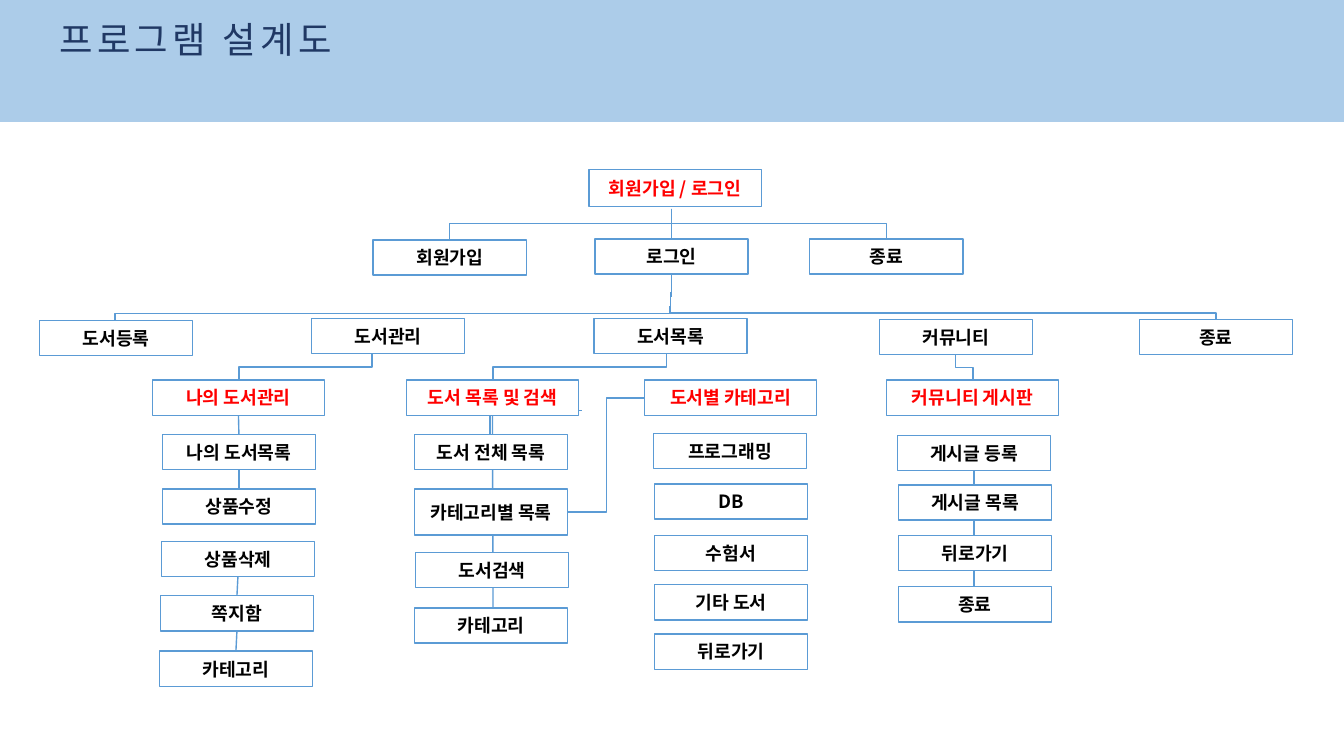
from lxml import etree
from pptx import Presentation
from pptx.dml.color import RGBColor
from pptx.enum.shapes import MSO_CONNECTOR, MSO_SHAPE
from pptx.enum.text import MSO_ANCHOR, PP_ALIGN
from pptx.oxml.ns import qn
from pptx.util import Pt

PX = 9144
FONT = "Noto Sans CJK KR"
BLUE = RGBColor(0x5B, 0x9B, 0xD5)
NAVY = RGBColor(0x20, 0x38, 0x64)
RED = RGBColor(0xFF, 0, 0)
BLACK = RGBColor(0, 0, 0)
WHITE = RGBColor(0xFF, 0xFF, 0xFF)
RECT = MSO_SHAPE.RECTANGLE
STRAIGHT, ELBOW = MSO_CONNECTOR.STRAIGHT, MSO_CONNECTOR.ELBOW
CENTER, LEFT = PP_ALIGN.CENTER, PP_ALIGN.LEFT
MIDDLE, TOP_ANCHOR = MSO_ANCHOR.MIDDLE, MSO_ANCHOR.TOP
TOP, BOTTOM = 0, 2
BOX_W, HEAD_W, BOX_H = 152, 171, 35


class Chart:
    def __init__(self, slide):
        self.shapes = slide.shapes

    def rect(self, x, y, w, h, fill):
        sp = self.shapes.add_shape(RECT, x * PX, y * PX, w * PX, h * PX)
        sp.shadow.inherit = False
        sp.fill.solid()
        sp.fill.fore_color.rgb = fill
        return sp

    def label(self, sp, text, size, color, align, anchor, bold=False):
        tf = sp.text_frame
        tf.text = text
        tf.vertical_anchor = anchor
        p = tf.paragraphs[0]
        p.alignment = align
        r = p.runs[0]
        r.font.size = Pt(size)
        r.font.bold = bold
        r.font.color.rgb = color
        r.font.name = FONT
        rpr = r.font._element
        etree.SubElement(rpr, qn("a:ea"), typeface=FONT)
        return rpr

    def box(self, x, y, text, w=BOX_W, h=BOX_H, color=BLACK):
        sp = self.rect(x, y, w, h, WHITE)
        sp.line.color.rgb = BLUE
        sp.line.width = Pt(1)
        self.label(sp, text, 13, color, CENTER, MIDDLE, True)
        return sp

    def heading(self, x, y, text, h=BOX_H):
        return self.box(x, y, text, HEAD_W, h, RED)

    def column(self, items):
        return [self.box(*item) for item in items]

    def line(self, x1, y1, x2, y2, kind=STRAIGHT):
        ends = [round(v * PX) for v in (x1, y1, x2, y2)]
        c = self.shapes.add_connector(kind, *ends)
        c.line.color.rgb = BLUE
        c.line.width = Pt(1)
        etree.SubElement(c._element.spPr, qn("a:effectLst"))
        return c

    def join(self, upper, lower):
        c = self.line(0, 0, 0, 0)
        c.begin_connect(upper, BOTTOM)
        c.end_connect(lower, TOP)

    def drop(self, x1, y1, x2, y2):
        cx, cy = (x1 + x2) / 2, (y1 + y2) / 2
        dx, dy = (x1 - x2) / 2, (y2 - y1) / 2
        c = self.line(cx - dy, cy - dx, cx + dy, cy + dx, ELBOW)
        c._element.spPr.find(qn("a:xfrm")).set("rot", "5400000")

    def corner(self, x1, y1, x2, y2):
        c = self.line(x1, y1, x2, y2, ELBOW)
        c._element.spPr.find(qn("a:prstGeom")).set("prst", "bentConnector2")

    def header(self, text):
        sp = self.rect(0, -1, 1333, 122, BLUE)
        sp.line.fill.background()
        color = sp._element.spPr.find(qn("a:solidFill"))[0]
        etree.SubElement(color, qn("a:alpha"), val="50000")
        rpr = self.label(sp, text, 26, NAVY, LEFT, TOP_ANCHOR)
        rpr.set("spc", "300")
        sp.text_frame.margin_left = 59 * PX
        sp.text_frame.margin_top = 18 * PX


def main():
    prs = Presentation()
    prs.slide_width, prs.slide_height = 1333 * PX, 750 * PX
    s = Chart(prs.slides.add_slide(prs.slide_layouts[6]))

    s.heading(584, 168, "회원가입 / 로그인", 37)
    login = s.box(590, 237, "로그인")
    s.box(370, 238, "회원가입")
    s.box(803, 237, "종료")
    s.drop(666, 207, 446, 237)
    s.drop(666, 207, 879, 237)
    s.line(666, 207, 667, 236).end_connect(login, TOP)
    s.line(666, 272, 666, 295).begin_connect(login, BOTTOM)
    s.line(665, 290, 665, 311)

    s.column([(39, 318, "도서등록"), (309, 316, "도서관리"),
              (589, 316, "도서목록"), (872, 317, "커뮤니티"),
              (1130, 317, "종료")])
    s.drop(665, 304, 114, 318)
    s.drop(664, 304, 1206, 317)

    s.corner(577, 407, 486, 431)
    book_list = s.heading(403, 377, "도서 목록 및 검색")
    s.line(489, 412, 489, 605).begin_connect(book_list, BOTTOM)
    s.box(411, 485, "카테고리별 목록", h=46)
    s.column([(411, 431, "도서 전체 목록"), (412, 548, "도서검색"),
              (411, 603, "카테고리")])

    s.line(966, 432, 966, 615)
    s.heading(879, 377, "커뮤니티 게시판")
    s.column([(890, 432, "게시글 등록"), (891, 481, "게시글 목록"),
              (891, 531, "뒤로가기"), (891, 582, "종료")])

    s.heading(639, 377, "도서별 카테고리")
    s.column([(648, 430, "프로그래밍"), (649, 480, "DB"),
              (649, 531, "수험서"), (649, 580, "기타 도서"),
              (649, 629, "뒤로가기")])

    my_books = s.heading(151, 377, "나의 도서관리")
    mine, edit, delete, inbox, category = s.column([
        (161, 431, "나의 도서목록"), (161, 485, "상품수정"),
        (160, 537, "상품삭제"), (159, 591, "쪽지함"),
        (158, 646, "카테고리")])
    for upper, lower in ((my_books, mine), (mine, edit),
                         (delete, inbox), (inbox, category)):
        s.join(upper, lower)

    s.drop(369, 351, 237, 377)
    s.drop(661, 351, 489, 377)
    s.drop(948, 352, 965, 377)
    s.line(563, 508, 640, 395, ELBOW)
    s.header("프로그램 설계도")
    prs.save("out.pptx")


if __name__ == "__main__":
    main()
